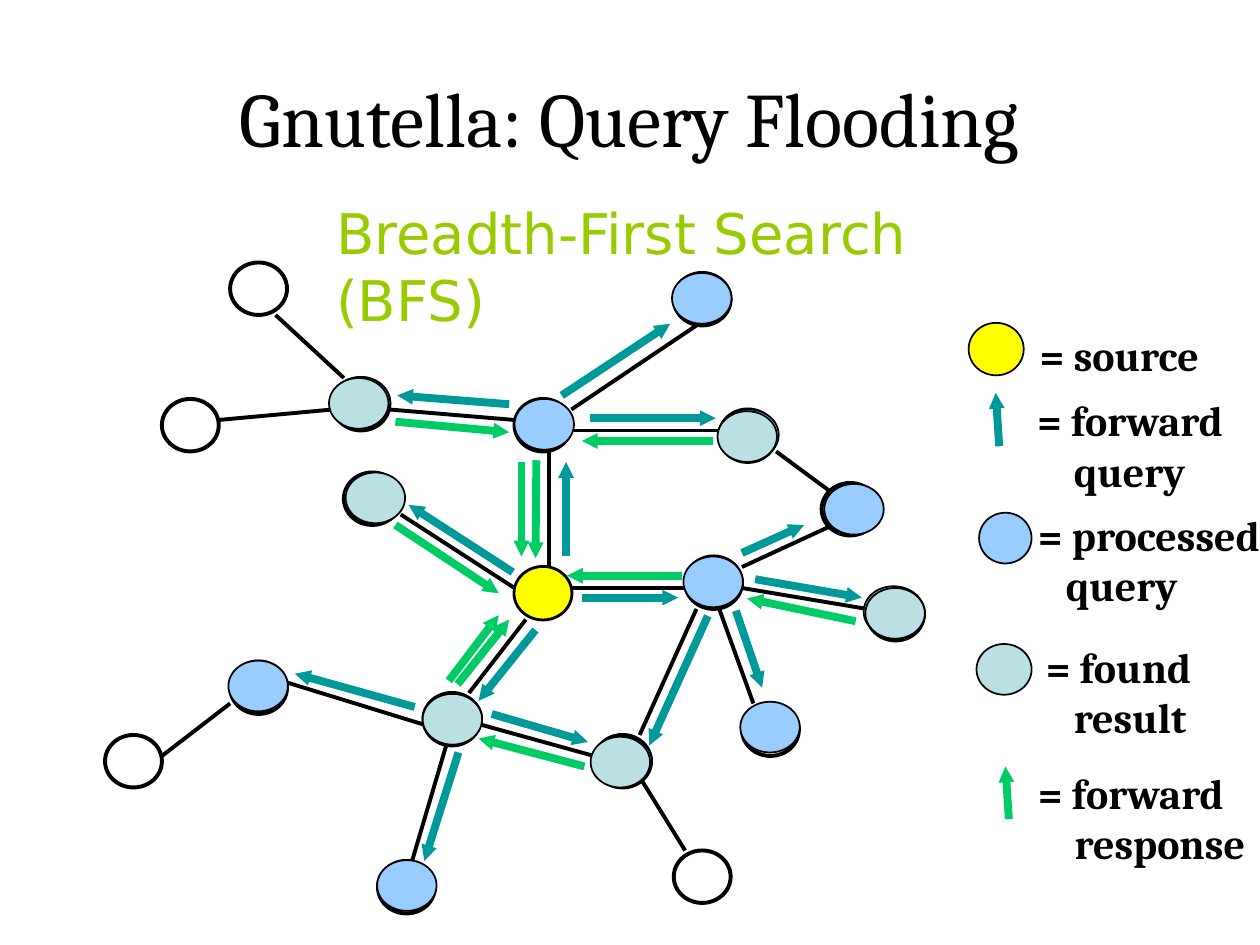
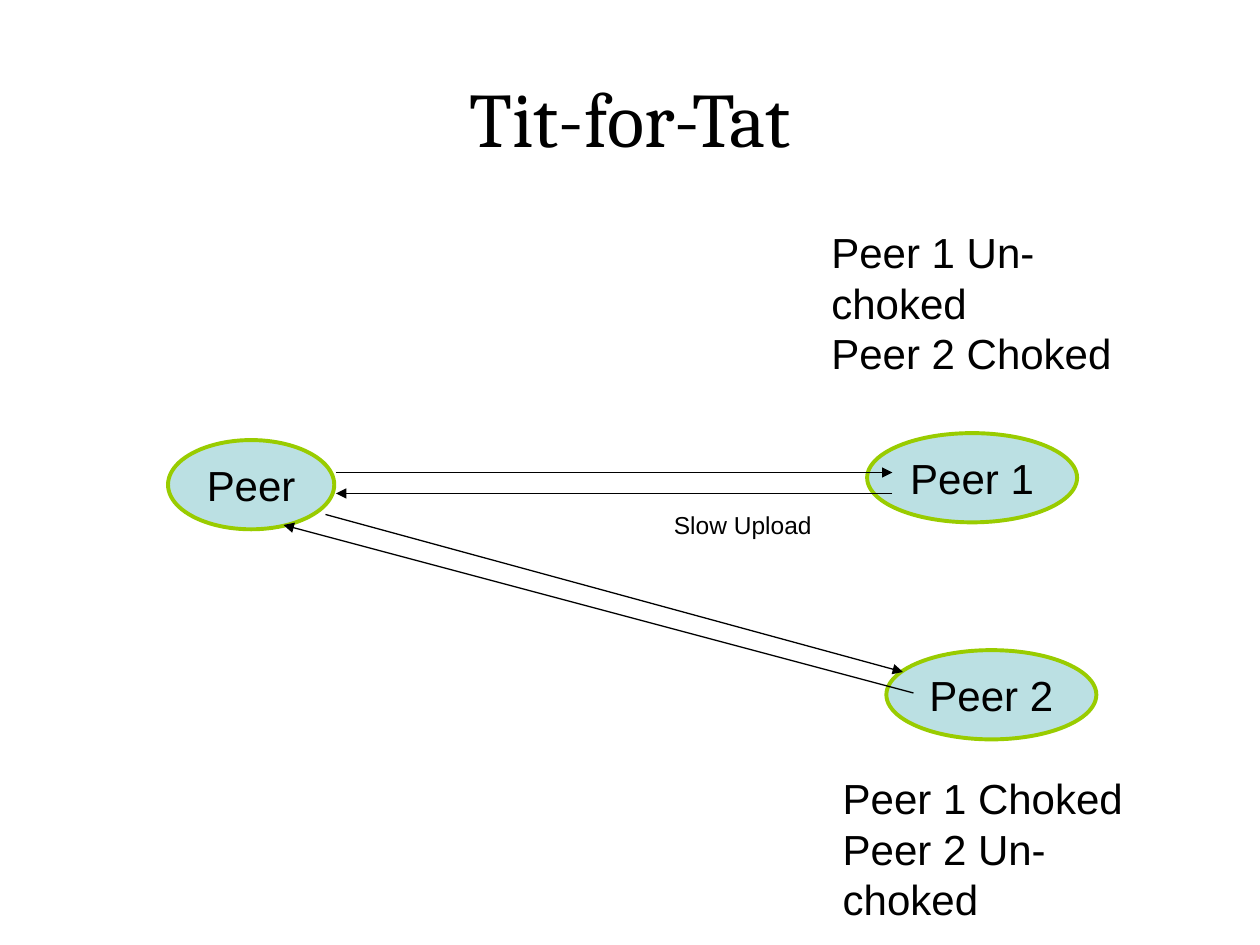
from dataclasses import dataclass
from typing import Optional

from lxml import etree
from pptx import Presentation
from pptx.dml.color import RGBColor
from pptx.enum import shapes, text
from pptx.oxml import ns
from pptx.util import Pt

Pair = tuple[float, float]
Quad = tuple[float, float, float, float]


@dataclass(frozen=True)
class Theme:
    ink: str = "000000"
    paper: str = "FFFFFF"
    lime: str = "99CC00"
    query: str = "009999"
    reply: str = "00CC66"
    source: str = "FFFF00"
    done: str = "99CCFF"
    found: str = "BBE0E3"
    serif: str = "Cambria"
    sans: str = "Arial"
    wide: str = "DejaVu Sans"
    title: float = 44
    lead: float = 32
    body: float = 24
    small: float = 14
    thin: float = 0.75
    rim: float = 1
    edge: float = 2.25
    bold: float = 4.5


T = Theme()


@dataclass(frozen=True)
class Node:
    col: int
    row: int
    done: Optional[Pair] = None
    found: Optional[Pair] = None


@dataclass(frozen=True)
class Disc:
    box: Quad
    fill: str
    line: str = T.ink
    width: float = T.rim
    label: str = ""


@dataclass(frozen=True)
class Wire:
    ends: Quad
    color: str = T.ink
    width: float = T.thin
    head: str = ""


@dataclass(frozen=True)
class Note:
    box: Quad
    words: str
    font: str = T.sans
    size: float = T.body
    color: str = T.ink
    bold: bool = False
    wrap: bool = False
    indent: float = 0


NODES = [
    Node(36, 54),
    Node(51, 53, (-1, 0)),
    Node(24, 82, (-0.5, -0.5)),
    Node(28, 66, (-0.5, 0), (-0.5, 0.5)),
    Node(43, 70, (-1, 0.5), (-2, 1)),
    Node(21, 45, (0, 0), (1, 0)),
    Node(36, 38, (0, 0)),
    Node(5, 38),
    Node(11, 63, (-1, -0.5)),
    Node(20, 36, (-1, -0.5), (-2, 0)),
    Node(63, 46, (1.5, 0.5)),
    Node(56, 67, (-1, -1)),
    Node(54, 39, (0, 0), (-1, 1)),
    Node(0, 70),
    Node(50, 26, (-1, 0)),
    Node(67, 56, (-2, -1), (-1, 0)),
    Node(11, 25),
    Node(50, 81),
]
SOURCE = NODES[0]

EDGES = [
    (39, 54, 39, 43), (41, 56, 51, 56), (37, 59, 32, 66), (36, 56, 26, 49),
    (33, 69, 43, 72), (52, 58, 47, 70), (56, 54, 64, 50), (36, 40, 25, 39),
    (41, 39, 52, 31), (20, 39, 10, 40), (30, 71, 27, 82), (28, 69, 16, 65),
    (21, 36, 15, 30), (54, 41, 41, 41), (59, 43, 64, 47), (56, 56, 67, 58),
    (11, 67, 5, 72), (47, 74, 51, 81), (54, 58, 57, 67),
]

QUERIES = [
    (323.5, 318, 323.5, 264), (332.5, 341.5, 387.5, 341.5),
    (306, 360, 273.5, 400.5), (293, 327, 233.5, 288.5),
    (321, 226, 383, 185), (337, 239, 409, 239),
    (291, 231, 227, 226), (424, 316, 459.5, 300),
    (420.5, 349, 435.5, 393), (404.5, 352, 371, 426),
    (281, 408, 336, 424), (262, 430, 242.5, 492),
    (237, 404, 168.5, 385), (431.5, 331, 492.5, 341.5),
    (571, 255, 569, 224.5),
]

REPLIES = [
    (306.5, 263, 306, 319), (226, 241, 291, 247),
    (489, 355, 427, 342), (389.5, 329, 324, 329),
    (298, 264, 298, 318), (407.5, 252, 332.5, 252),
    (256.5, 389, 285, 351.5), (334, 438, 273.5, 422),
    (226, 300, 285, 339), (261.5, 391, 291, 354),
    (576.5, 468, 574.5, 438),
]

KEYS = [
    Disc((553.5, 184.5, 31.5, 30), T.source),
    Disc((559.5, 293, 30, 29), T.done),
    Disc((558, 368, 31.5, 29), T.found),
]

LEGEND = [
    ((587, 184.5, 115, 36), "= source", 0),
    ((585.5, 222, 134, 65), "= forward\nquery", 21),
    ((586, 287.5, 155.5, 65), "= processed\nquery", 16),
    ((590.5, 363, 106, 65), "= found\nresult", 16),
    ((586, 435, 149, 65), "= forward\nresponse", 21),
]

PEERS = [
    ((96, 251.5, 95, 51), "Peer"),
    ((495.5, 247.5, 120, 51), "Peer 1"),
    ((506.5, 371.5, 120, 51), "Peer 2"),
]

LINKS = [
    (510, 282, 192, 282), (522, 396, 162, 300),
    (192, 270, 510, 270), (186, 294, 516, 384),
]

NOTES = [
    Note((468, 126, 207.5, 65), "Peer 1 Un-choked\nPeer 2 Choked"),
    Note((474.5, 438, 207.5, 65), "Peer 1 Choked\nPeer 2 Un-choked"),
    Note((378, 288, 93, 24.5), "Slow Upload", size=T.small),
]


def rgb(code: str) -> RGBColor:
    return RGBColor.from_string(code)


def grid(col: float, row: float) -> Pair:
    return 60 + 6.5 * col, 6 * row


def style(frame, font: str, size: float, color: str, bold: bool = False) -> None:
    for para in frame.paragraphs:
        for run in para.runs:
            run.font.name = font
            run.font.size = Pt(size)
            run.font.bold = bold
            run.font.color.rgb = rgb(color)


def start(deck, words: str):
    slide = deck.slides.add_slide(deck.slide_layouts[5])
    title = slide.shapes.title
    title.left, title.top, title.width, title.height = map(Pt, (36, 21.6, 648, 90))
    frame = title.text_frame
    frame.text = words
    frame.auto_size = text.MSO_AUTO_SIZE.NONE
    frame.vertical_anchor = text.MSO_ANCHOR.MIDDLE
    frame.paragraphs[0].alignment = text.PP_ALIGN.CENTER
    style(frame, T.serif, T.title, T.ink)
    return slide


def disc(slide, item: Disc) -> None:
    oval = slide.shapes.add_shape(shapes.MSO_SHAPE.OVAL, *map(Pt, item.box))
    oval.shadow.inherit = False
    oval.fill.solid()
    oval.fill.fore_color.rgb = rgb(item.fill)
    oval.line.color.rgb = rgb(item.line)
    oval.line.width = Pt(item.width)
    if item.label:
        frame = oval.text_frame
        frame.text = item.label
        frame.word_wrap = False
        frame.vertical_anchor = text.MSO_ANCHOR.MIDDLE
        frame.paragraphs[0].alignment = text.PP_ALIGN.CENTER
        style(frame, T.sans, T.body, T.ink)


def wire(slide, item: Wire) -> None:
    link = slide.shapes.add_connector(
        shapes.MSO_CONNECTOR.STRAIGHT, *map(Pt, item.ends))
    link.line.color.rgb = rgb(item.color)
    link.line.width = Pt(item.width)
    if item.head:
        etree.SubElement(link.line._get_or_add_ln(), ns.qn("a:tailEnd"),
                         type="triangle", w=item.head, len=item.head)
    etree.SubElement(link._element.spPr, ns.qn("a:effectLst"))


def note(slide, item: Note) -> None:
    frame = slide.shapes.add_textbox(*map(Pt, item.box)).text_frame
    frame.text = item.words
    frame.word_wrap = item.wrap
    frame.auto_size = text.MSO_AUTO_SIZE.SHAPE_TO_FIT_TEXT
    for para in frame.paragraphs[1:]:
        para._p.get_or_add_pPr().set("marL", str(Pt(item.indent)))
    style(frame, item.font, item.size, item.color, item.bold)


def mark(slide, node: Node, shift: Pair, fill: str) -> None:
    x, y = grid(node.col, node.row)
    disc(slide, Disc((x + shift[0], y + shift[1], 34, 29), fill))


def flood(deck) -> None:
    slide = start(deck, "Gnutella: Query Flooding")
    for node in NODES:
        disc(slide, Disc((*grid(node.col, node.row), 32.5, 30), T.paper, width=T.edge))
    for a, b, c, d in EDGES:
        wire(slide, Wire((*grid(a, b), *grid(c, d)), width=T.edge))
    for ends in QUERIES:
        wire(slide, Wire(ends, T.query, T.bold, "sm"))
    for node in NODES:
        if node.done:
            mark(slide, node, node.done, T.done)
    for node in NODES:
        if node.found:
            mark(slide, node, node.found, T.found)
    for ends in REPLIES:
        wire(slide, Wire(ends, T.reply, T.bold, "sm"))
    disc(slide, Disc((*grid(SOURCE.col, SOURCE.row), 32.5, 30), T.source))
    for key in KEYS:
        disc(slide, key)
    for box, words, indent in LEGEND:
        note(slide, Note(box, words, T.serif, bold=True, wrap=True, indent=indent))
    note(slide, Note((185, 110, 404, 46), "Breadth-First Search (BFS)",
                     T.wide, T.lead, T.lime, wrap=True))


def trade(deck) -> None:
    slide = start(deck, "Tit-for-Tat")
    for box, label in PEERS:
        disc(slide, Disc(box, T.found, T.lime, T.edge, label))
    for ends in LINKS:
        wire(slide, Wire(ends, head="med"))
    for item in NOTES:
        note(slide, item)


def main() -> None:
    deck = Presentation()
    deck.slide_width, deck.slide_height = Pt(720), Pt(540)
    flood(deck)
    trade(deck)
    deck.save("out.pptx")


if __name__ == "__main__":
    main()
